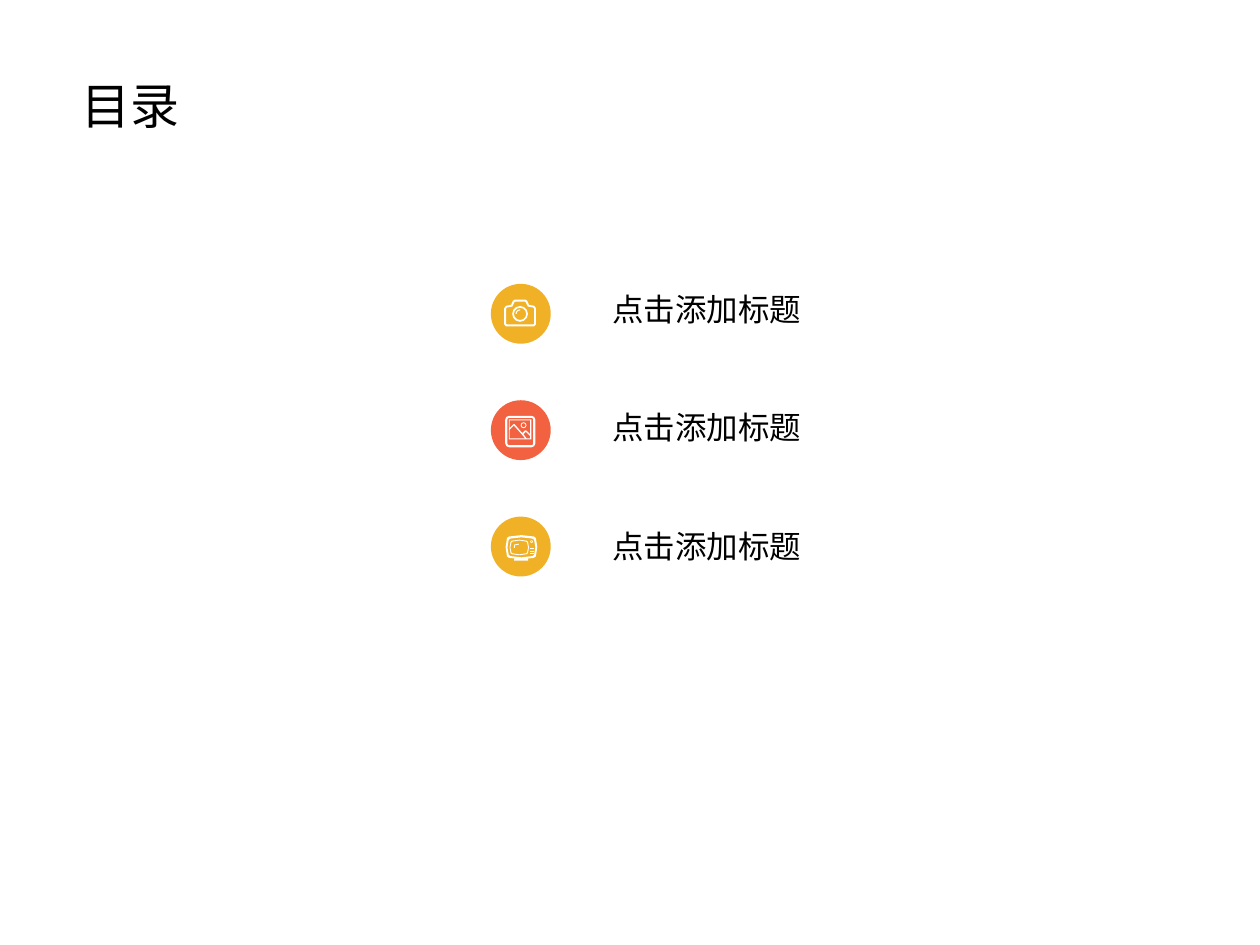
from math import cos, sin, radians

from lxml import etree
from pptx import Presentation
from pptx.dml.color import RGBColor
from pptx.enum.shapes import MSO_SHAPE
from pptx.enum.text import MSO_AUTO_SIZE
from pptx.oxml.ns import qn
from pptx.util import Pt

OVAL = MSO_SHAPE.OVAL
GROW = MSO_AUTO_SIZE.SHAPE_TO_FIT_TEXT
BLACK, WHITE, GOLD, CORAL = "000000", "FFFFFF", "F0B127", "F26240"
DISC_LEFT, DISC_TOP, DISC_STEP, DISC_SIZE = 280.5, 162.2, 66.5, 34.2
LABEL_LEFT, LABEL_TOP, LABEL_STEP = 342.7, 162, 67.7


def rgb(color):
    return RGBColor.from_string(color)


def arc(cx, cy, r, start, end, steps):
    angles = [radians(start + (end - start) * i / steps) for i in range(steps + 1)]
    return [(cx + r * cos(a), cy + r * sin(a)) for a in angles]


def circle(cx, cy, r, sides):
    return arc(cx, cy, r, 0, 360, sides)[:-1]


def rounded(left, top, right, bottom, r):
    centres = [(left + r, top + r), (right - r, top + r),
               (right - r, bottom - r), (left + r, bottom - r)]
    return [point for i, (cx, cy) in enumerate(centres)
            for point in arc(cx, cy, r, 180 + 90 * i, 270 + 90 * i, 2)]


def bulged(left, top, right, bottom, bulge):
    cx, cy = (left + right) / 2, (top + bottom) / 2
    dx, dy = (right - left) * 0.43, (bottom - top) * 0.43
    return [(cx - dx, top), (cx, top - bulge), (cx + dx, top),
            (right, cy - dy), (right + bulge, cy), (right, cy + dy),
            (cx + dx, bottom), (cx, bottom + bulge), (cx - dx, bottom),
            (left, cy + dy), (left - bulge, cy), (left, cy - dy)]


def box(left, top, right, bottom):
    return [(left, top), (right, top), (right, bottom), (left, bottom)]


def mirrored(half, axis):
    return half + [(2 * axis - x, y) for x, y in reversed(half)]


class Deck:
    font = "Noto Sans CJK SC"

    def __init__(self, width, height):
        self.prs = Presentation()
        self.prs.slide_width, self.prs.slide_height = Pt(width), Pt(height)
        self.s = self.prs.slides.add_slide(self.prs.slide_layouts[6])

    def text(self, words, left, top, width, height, size, wrap):
        tf = self.s.shapes.add_textbox(Pt(left), Pt(top), Pt(width), Pt(height)).text_frame
        tf.word_wrap = wrap
        tf.auto_size = GROW
        r = tf.paragraphs[0].add_run()
        r.text = words
        r.font.size = Pt(size)
        r.font.color.rgb = rgb(BLACK)
        r.font.name = self.font
        etree.SubElement(r.font._element, qn("a:ea")).set("typeface", self.font)

    def paint(self, sp, color):
        sp.shadow.inherit = False
        sp.fill.solid()
        sp.fill.fore_color.rgb = rgb(color)
        sp.line.fill.background()

    def disc(self, left, top, size, color):
        sp = self.s.shapes.add_shape(OVAL, Pt(left), Pt(top), Pt(size), Pt(size))
        self.paint(sp, color)

    def outline(self, contours, left, top):
        placed = [[(Pt(left + x), Pt(top + y)) for x, y in c] for c in contours]
        builder = self.s.shapes.build_freeform(*placed[0][0], scale=1.0)
        for i, points in enumerate(placed):
            if i:
                builder.move_to(*points[0])
            builder.add_line_segments(points[1:], close=True)
        self.paint(builder.convert_to_shape(), WHITE)


CAMERA_OUTER = [(8.7, 24.3), (7.6, 23.2), (7.6, 14), (8.6, 12.6),
                (11.6, 12), (12.6, 9.7), (13.6, 9.1)]
CAMERA_INNER = [(9.1, 23.2), (8.7, 22.8), (8.7, 14.2), (9.2, 13.6),
                (12.3, 13), (13.6, 10.4), (14, 10.2)]
CAMERA = [
    [circle(16.7, 17.2, 4.5, 12), circle(16.7, 17.2, 3.5, 12)],
    [arc(16.7, 17.2, 2.6, 180, 270, 3) + arc(16.7, 17.2, 2, 270, 180, 3)],
    [mirrored(CAMERA_OUTER, 16.7), mirrored(CAMERA_INNER, 16.7)],
]
SKY = [(10.8, 11.5), (22.5, 11.5), (22.5, 19.5), (20.2, 17.3), (19.5, 17.3),
       (18, 18.8), (13.5, 13.7), (13, 13.7), (10.8, 15.9)]
LARGE_HILL = [(10.8, 16.9), (13.2, 14.5), (18, 19.9), (19.6, 21.8), (10.8, 21.8)]
SMALL_HILL = [(20.4, 21.8), (18.6, 19.4), (20, 18), (22.5, 20.5), (22.5, 21.8)]
PHOTO = [
    [rounded(8.2, 8.9, 25.4, 26.9, 2.2), rounded(9.4, 10.1, 24.2, 25.7, 1)],
    [box(10.3, 10.9, 23.1, 22.4), SKY, LARGE_HILL, SMALL_HILL],
    [circle(18.7, 14.3, 1.7, 8), circle(18.7, 14.3, 1.2, 8)],
]
TELEVISION = [
    [bulged(11.3, 13.8, 21.2, 21.5, 0.6), bulged(11.8, 14.3, 20.7, 21, 0.6)],
    [bulged(9.2, 11.4, 25.7, 23.6, 0.8), bulged(10.2, 12.6, 24.7, 22.6, 0.7),
     box(13.3, 24.2, 21.3, 25.1)],
    [circle(23.3, 14.3, 0.8, 6), circle(23.3, 14.3, 0.4, 6)],
    *[[box(22.5, y, 24.5, y + 0.5)] for y in (18.1, 19.6, 21.1)],
    [[(13.3, 16), (16.1, 15.5), (16.1, 16), (13.9, 16.4), (13.7, 17.9), (13.2, 17.9)]],
]


def main():
    deck = Deck(720, 540)
    deck.text("目录", 39.6, 39.6, 78.5, 41, 28, True)
    rows = [(GOLD, CAMERA), (CORAL, PHOTO), (GOLD, TELEVISION)]
    for i, (color, icon) in enumerate(rows):
        top = DISC_TOP + i * DISC_STEP
        deck.disc(DISC_LEFT, top, DISC_SIZE, color)
        for contours in icon:
            deck.outline(contours, DISC_LEFT, top)
        deck.text("点击添加标题", LABEL_LEFT, LABEL_TOP + i * LABEL_STEP, 122.4, 28.8, 18, False)
    deck.prs.save("out.pptx")


if __name__ == "__main__":
    main()
